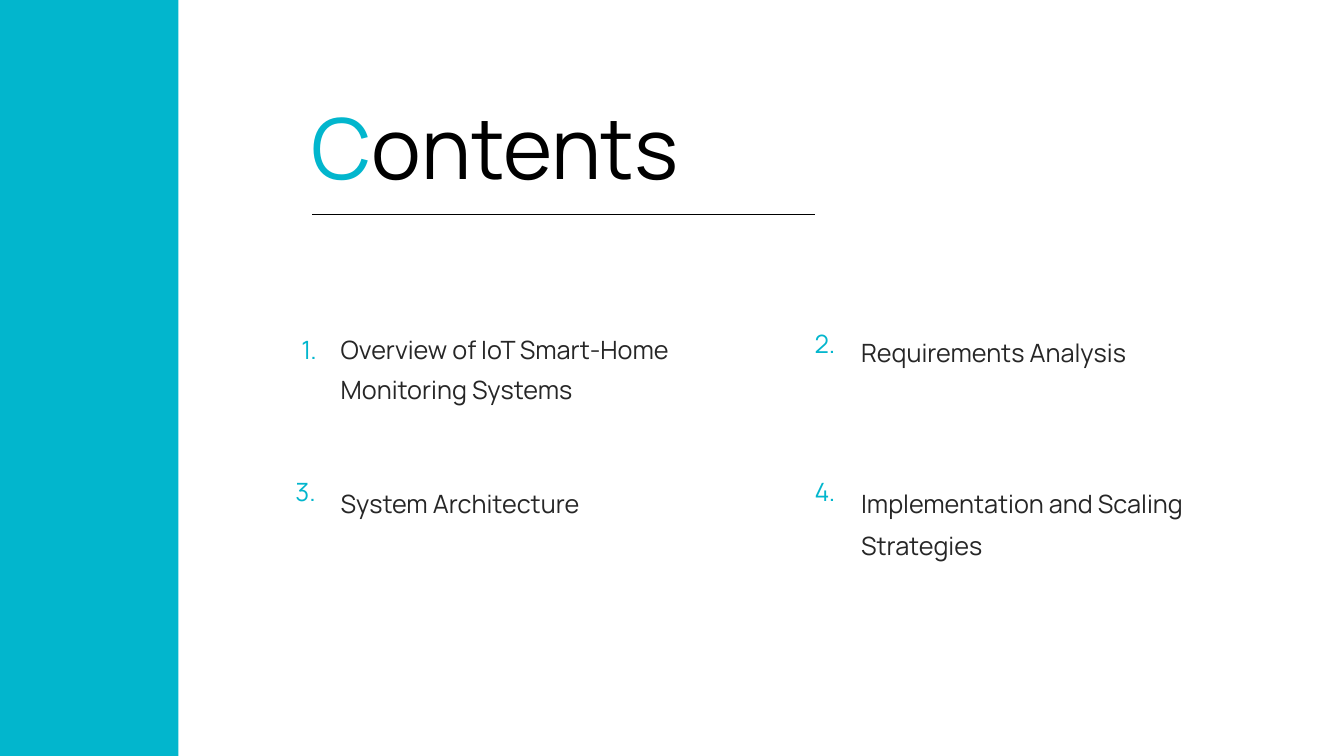
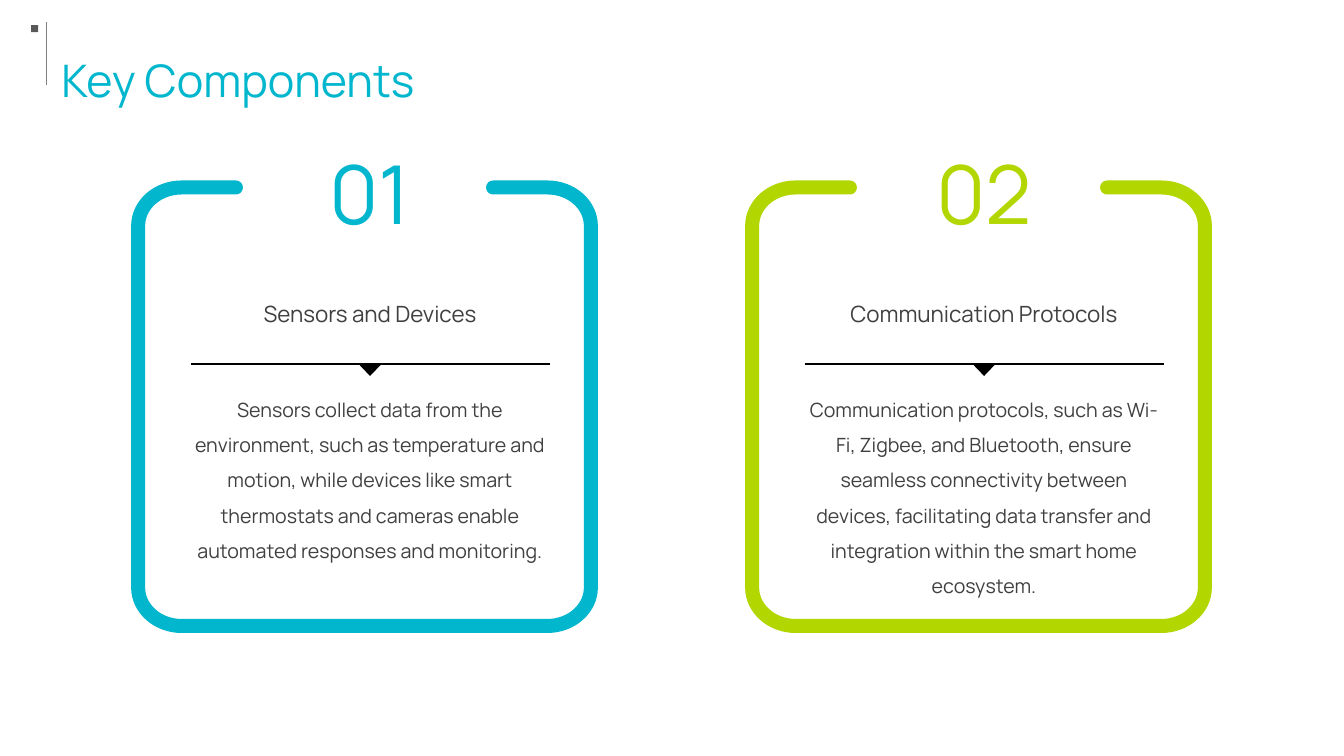
import pptx
import pptx.util
import pptx.dml.color
import pptx.enum.shapes
import pptx.enum.text
import pptx.oxml
import pptx.oxml.ns

Inches = pptx.util.Inches
Pt = pptx.util.Pt
SHAPE = pptx.enum.shapes.MSO_SHAPE
ANCHOR = pptx.enum.text.MSO_ANCHOR
ALIGN = pptx.enum.text.PP_ALIGN

WIDTH, HEIGHT = 13.33, 7.5
FONT = "Manrope"
TEAL, LIME, BLACK = "02B6CD", "B2D600", "000000"
INK, BODY, DARK, GREY = "262626", "404040", "595959", "808080"

CONTENTS_TITLE = [("C", TEAL), ("ontents", BLACK)]
COLUMNS, ROWS = (3.38, 8.54), (3.23, 4.72)
TOPIC_WIDTH, TOPIC_HEIGHT = 4.06, 0.98
TOPICS = [
    {"text": "Overview of IoT Smart-Home Monitoring Systems", "spacing": 1.3,
     "indent": 0.39, "number_spacing": 1.3, "anchor": ANCHOR.TOP},
    {"text": "Requirements Analysis", "spacing": 1.4,
     "indent": 0.46, "number_spacing": 1.1, "anchor": ANCHOR.TOP},
    {"text": "System Architecture", "spacing": 1.4,
     "indent": 0.45, "number_spacing": 1.1, "anchor": ANCHOR.MIDDLE},
    {"text": "Implementation and Scaling Strategies", "spacing": 1.4,
     "indent": 0.46, "number_spacing": 1.1, "anchor": ANCHOR.MIDDLE},
]

COMPONENTS_TITLE = [("Key Components", TEAL)]
CARD_LEFT, CARD_TOP, CARD_PITCH = 1.37, 1.86, 6.09
CARD_WIDTH, CARD_HEIGHT = 4.49, 4.35
CARD_INSET, CARD_TEXT_WIDTH, DIVIDER_TOP = 0.52, 3.56, 3.61
CORNER_X, CORNER_Y, TOP_ARM, CURVE_PULL = 0.43, 0.38, 0.97, 0.55
CARDS = [
    ("01", TEAL, "Sensors and Devices",
     "Sensors collect data from the environment, such as temperature and "
     "motion, while devices like smart thermostats and cameras enable "
     "automated responses and monitoring."),
    ("02", LIME, "Communication Protocols",
     "Communication protocols, such as Wi-Fi, Zigbee, and Bluetooth, ensure "
     "seamless connectivity between devices, facilitating data transfer and "
     "integration within the smart home ecosystem."),
]


def color(value):
    """Turn a hex string into a colour."""
    return pptx.dml.color.RGBColor.from_string(value)


def write(shape, runs, size, spacing, anchor=ANCHOR.TOP, align=ALIGN.LEFT):
    """Write one paragraph of coloured runs into a shape without insets."""
    frame = shape.text_frame
    frame.auto_size = pptx.enum.text.MSO_AUTO_SIZE.NONE
    frame.word_wrap = True
    frame.vertical_anchor = anchor
    frame.margin_left = frame.margin_right = 0
    frame.margin_top = frame.margin_bottom = 0
    paragraph = frame.paragraphs[0]
    paragraph.alignment = align
    paragraph.line_spacing = spacing
    for text, fill in runs:
        run = paragraph.add_run()
        run.text = text
        run.font.name = FONT
        run.font.size = Pt(size)
        run.font.color.rgb = color(fill)


def add_text(slide, box, text, fill, size, spacing, **layout):
    """Add a text box in a single colour."""
    shape = slide.shapes.add_textbox(*map(Inches, box))
    write(shape, [(text, fill)], size, spacing, **layout)


def set_title(slide, box, runs, size, spacing, anchor):
    """Place and format the title placeholder."""
    title = slide.shapes.title
    title.left, title.top, title.width, title.height = map(Inches, box)
    write(title, runs, size, spacing, anchor)


def add_block(slide, kind, box, fill):
    """Add a filled shape without an outline."""
    shape = slide.shapes.add_shape(kind, *map(Inches, box))
    shape.shadow.inherit = False
    shape.fill.solid()
    shape.fill.fore_color.rgb = color(fill)
    shape.line.fill.background()
    return shape


def add_line(slide, start, end, fill, weight):
    """Add a straight line without a shadow."""
    line = slide.shapes.add_connector(
        pptx.enum.shapes.MSO_CONNECTOR.STRAIGHT, *map(Inches, start + end))
    line.line.color.rgb = color(fill)
    line.line.width = Pt(weight)
    properties = line._element.spPr
    properties.append(pptx.oxml.parse_xml(
        "<a:effectLst %s/>" % pptx.oxml.ns.nsdecls("a")))


def curve_xml(start, bend, end):
    """Describe a rounded corner as a cubic curve."""
    controls = [tuple(p + CURVE_PULL * (b - p) for p, b in zip(point, bend))
                for point in (start, end)]
    points = "".join(f'<a:pt x="{Inches(x)}" y="{Inches(y)}"/>'
                     for x, y in controls + [end])
    namespace = pptx.oxml.ns.nsdecls("a")
    return f"<a:cubicBezTo {namespace}>{points}</a:cubicBezTo>"


def add_frame(slide, left, fill):
    """Add a rounded outline that is open in the middle of its top."""
    right, bottom = CARD_WIDTH, CARD_HEIGHT
    corners = [
        ((right - CORNER_X, 0), (right, 0), (right, CORNER_Y)),
        ((right, bottom - CORNER_Y), (right, bottom), (right - CORNER_X, bottom)),
        ((CORNER_X, bottom), (0, bottom), (0, bottom - CORNER_Y)),
        ((0, CORNER_Y), (0, 0), (CORNER_X, 0)),
    ]
    points = [(right - TOP_ARM, 0)]
    for start, _, end in corners:
        points += [start, end]
    points.append((TOP_ARM, 0))
    points = [(Inches(x), Inches(y)) for x, y in points]
    builder = slide.shapes.build_freeform(*points[0])
    builder.add_line_segments(points[1:], close=False)
    frame = builder.convert_to_shape(Inches(left), Inches(CARD_TOP))
    segments = list(frame._element.iter(pptx.oxml.ns.qn("a:lnTo")))
    for segment, rounded in zip(segments[1::2], corners):
        segment.getparent().replace(segment, pptx.oxml.parse_xml(curve_xml(*rounded)))
    frame.shadow.inherit = False
    frame.fill.background()
    frame.line.color.rgb = color(fill)
    frame.line.width = Pt(10)
    frame.line._get_or_add_ln().set("cap", "rnd")


def add_card(slide, left, number, fill, heading, body):
    """Add one numbered card."""
    text_left = left + CARD_INSET
    text_right = text_left + CARD_TEXT_WIDTH
    middle = (text_left + text_right) / 2
    add_frame(slide, left, fill)
    for text, tint, top, height, size, spacing, anchor in (
            (number, fill, 1.32, 1.07, 58, 1.1, ANCHOR.MIDDLE),
            (heading, BODY, 2.53, 1.08, 16, 1.3, ANCHOR.MIDDLE),
            (body, BODY, 3.83, 2.23, 14, 1.5, ANCHOR.TOP)):
        add_text(slide, (text_left, top, CARD_TEXT_WIDTH, height), text, tint,
                 size, spacing, anchor=anchor, align=ALIGN.CENTER)
    add_line(slide, (text_left, DIVIDER_TOP), (text_right, DIVIDER_TOP), BLACK, 1)
    width = 0.23
    pointer = add_block(slide, SHAPE.ISOSCELES_TRIANGLE,
                        (middle - width / 2, DIVIDER_TOP, width, 0.12), BLACK)
    pointer.rotation = 180


def build_contents(slide):
    """Build the contents slide."""
    add_block(slide, SHAPE.RECTANGLE, (0, 0, 1.77, HEIGHT), TEAL)
    set_title(slide, (3.09, 0.41, 4.86, 1.54), CONTENTS_TITLE, 60, 1.1, ANCHOR.BOTTOM)
    add_line(slide, (8.08, 2.13), (3.09, 2.13), BLACK, 1)
    for index, topic in enumerate(TOPICS):
        row, column = divmod(index, len(COLUMNS))
        left, top = COLUMNS[column], ROWS[row]
        add_text(slide, (left - topic["indent"], top, 0.43, 0.28), f"{index + 1}.",
                 TEAL, 18, topic["number_spacing"], anchor=topic["anchor"])
        add_text(slide, (left, top, TOPIC_WIDTH, TOPIC_HEIGHT), topic["text"],
                 INK, 18, topic["spacing"])


def build_components(slide):
    """Build the key components slide."""
    set_title(slide, (0.61, 0.5, 12.04, 0.47), COMPONENTS_TITLE, 32, 1.2, ANCHOR.MIDDLE)
    add_block(slide, SHAPE.RECTANGLE, (0.31, 0.25, 0.07, 0.07), DARK)
    add_line(slide, (0.46, 0.84), (0.46, 0.22), GREY, 0.5)
    for index, card in enumerate(CARDS):
        add_card(slide, CARD_LEFT + index * CARD_PITCH, *card)


def main():
    """Build and save the presentation."""
    presentation = pptx.Presentation()
    presentation.slide_width = Inches(WIDTH)
    presentation.slide_height = Inches(HEIGHT)
    title_only = presentation.slide_layouts[5]
    for build in (build_contents, build_components):
        build(presentation.slides.add_slide(title_only))
    presentation.save("out.pptx")


if __name__ == "__main__":
    main()
